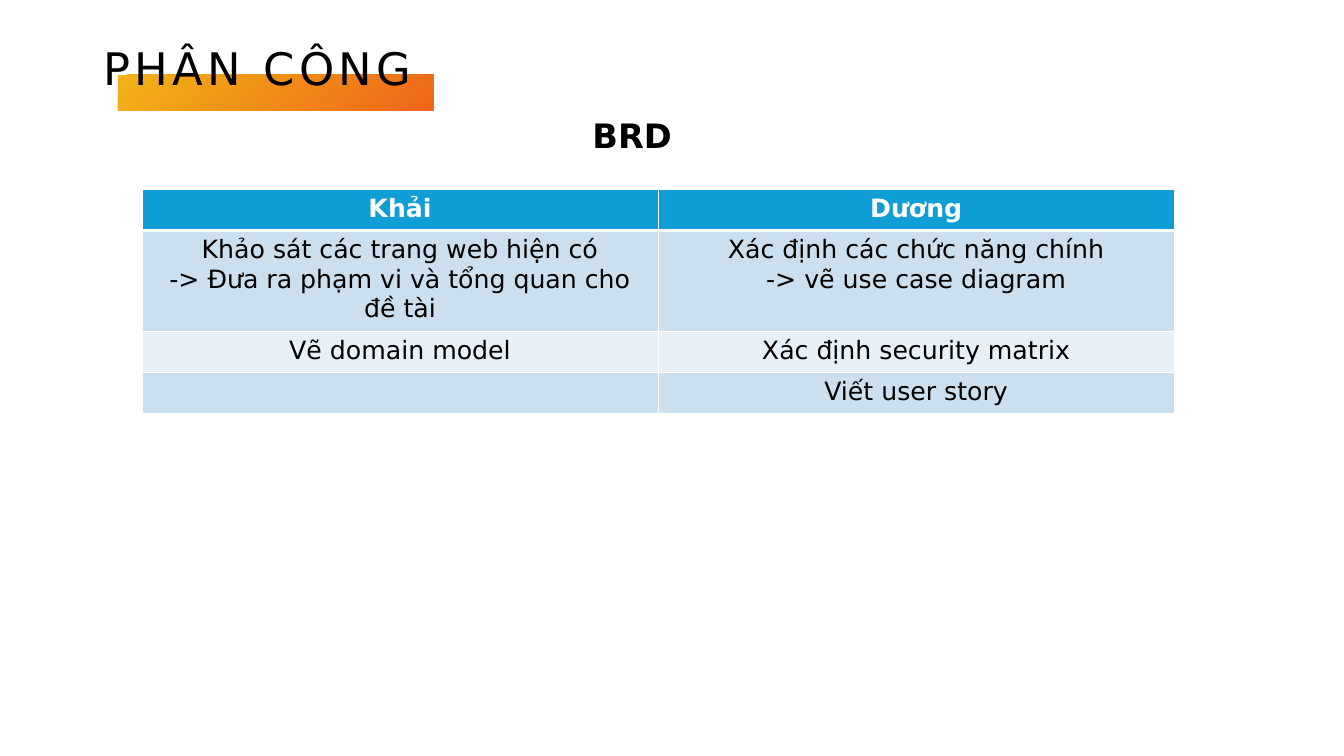
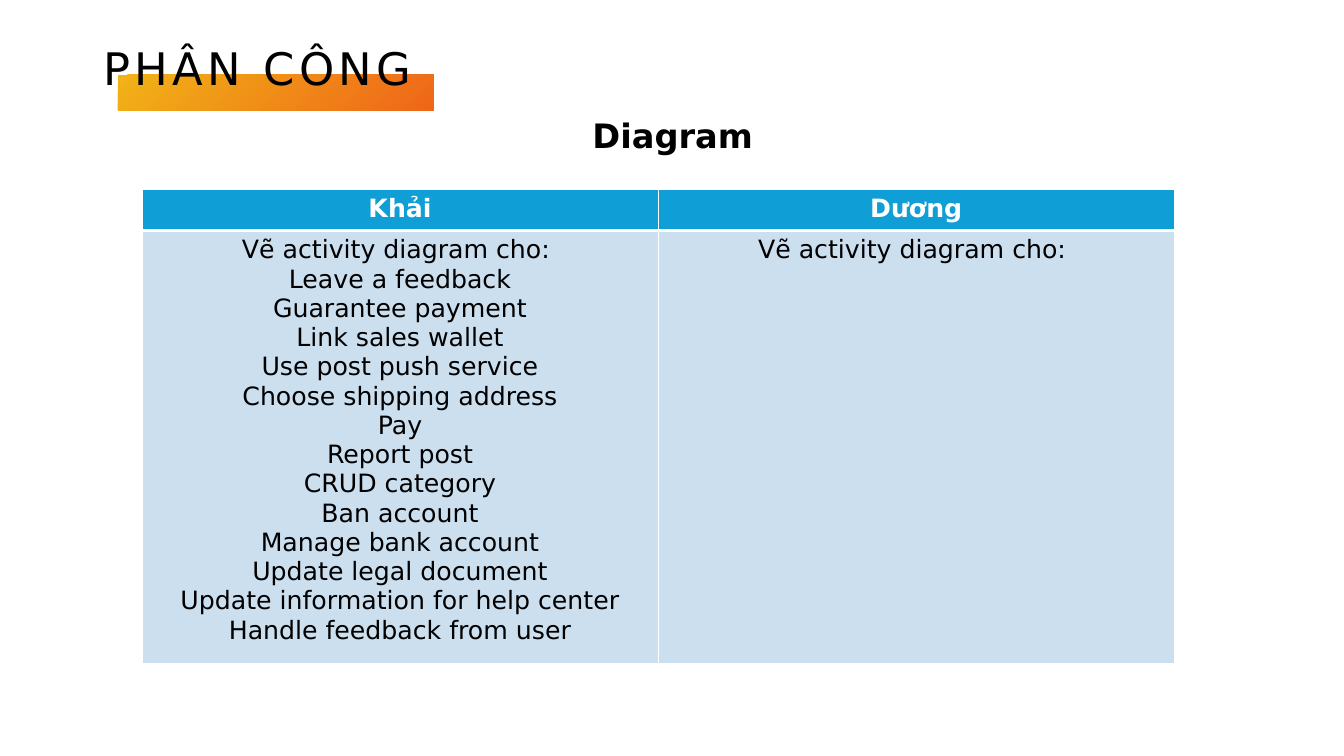
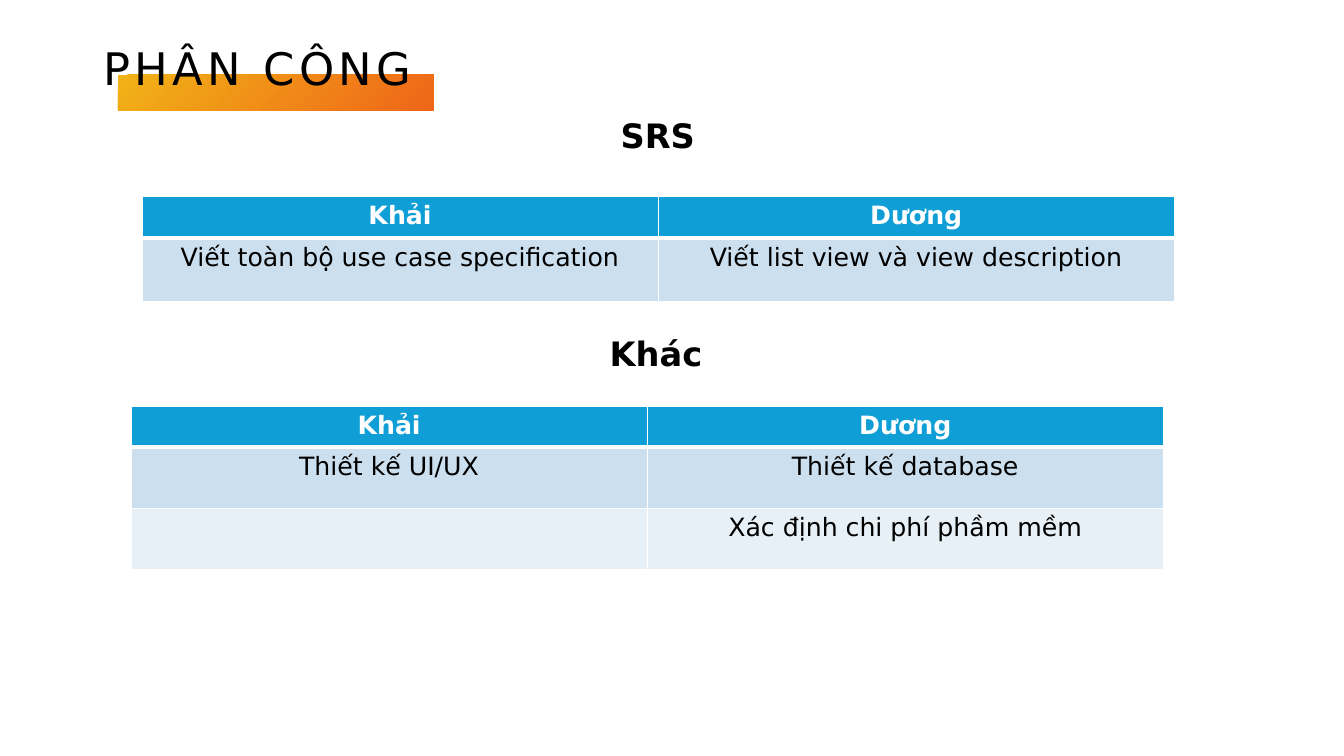
import pptx
import pptx.util
import pptx.dml.color
import pptx.enum.shapes
import pptx.enum.text
import pptx.oxml.ns
import lxml.etree

COLORS = {
    "text": "000000",
    "white": "FFFFFF",
    "header": "0F9ED5",
    "odd": "CCDFEF",
    "even": "E7F0F7",
    "band_start": "F1B317",
    "band_end": "EF6618",
}
FONT = "DejaVu Sans"
SLIDE_WIDTH = pptx.util.Inches(13.33)
SLIDE_HEIGHT = pptx.util.Inches(7.5)
COLUMNS, ROWS = 32, 18
TITLE_BOX = (2.23, 0.86, 8.02, 1.54)
TABLE_COLUMN = 12.29
HEADER_HEIGHT = 0.98
HEADING_HEIGHT = 1.2
MEMBERS = ("Khải", "Dương")


def across(columns):
    """Turn grid columns into a length."""
    return round(SLIDE_WIDTH * columns / COLUMNS)


def down(rows):
    """Turn grid rows into a length."""
    return round(SLIDE_HEIGHT * rows / ROWS)


def place(left, top, width, height):
    """Turn a grid box into slide lengths."""
    return across(left), down(top), across(width), down(height)


def color(name):
    """Look up a palette colour."""
    return pptx.dml.color.RGBColor.from_string(COLORS[name])


def style(para, size, color_name="text", bold=False):
    """Set the font of a paragraph."""
    para.font.name = FONT
    para.font.size = pptx.util.Pt(size)
    para.font.bold = bold
    para.font.color.rgb = color(color_name)


def add_label(page, box, text, size, bold=False):
    """Add one line of text that does not wrap."""
    frame = page.shapes.add_textbox(*place(*box)).text_frame
    frame.word_wrap = False
    frame.auto_size = pptx.enum.text.MSO_AUTO_SIZE.SHAPE_TO_FIT_TEXT
    para = frame.paragraphs[0]
    para.text = text
    style(para, size, bold=bold)
    return para


def add_title(page, box):
    """Add the spaced title over its gradient band."""
    left, top, width, height = box
    band = page.shapes.add_shape(
        pptx.enum.shapes.MSO_SHAPE.RECTANGLE,
        *place(left + 0.58, top + 0.92, width - 0.51, 0.84))
    band.shadow.inherit = False
    band.line.fill.background()
    band.fill.gradient()
    band.fill.gradient_angle = 315
    for stop, name in zip(band.fill.gradient_stops, ("band_start", "band_end")):
        stop.color.rgb = color(name)
    para = add_label(page, (left, top, width, height), "PHÂN CÔNG", 32)
    para.runs[0]._r.get_or_add_rPr().set("spc", "300")


def add_borders(cell, row):
    """Draw white cell borders, thick under the header."""
    points = {"L": 1, "R": 1, "T": 3 if row == 1 else 1, "B": 3 if row == 0 else 1}
    properties = cell._tc.get_or_add_tcPr()
    qn = pptx.oxml.ns.qn
    for side, width in points.items():
        line = lxml.etree.SubElement(
            properties, qn(f"a:ln{side}"), w=str(pptx.util.Pt(width)))
        fill = lxml.etree.SubElement(line, qn("a:solidFill"))
        lxml.etree.SubElement(fill, qn("a:srgbClr"), val=COLORS["white"])


def fill_cell(cell, row, text):
    """Write one table cell in the style of its row."""
    add_borders(cell, row)
    cell.fill.solid()
    cell.fill.fore_color.rgb = color(
        "header" if row == 0 else "odd" if row % 2 else "even")
    cell.text = text
    for para in cell.text_frame.paragraphs:
        para.alignment = pptx.enum.text.PP_ALIGN.CENTER
        style(para, 18, "white" if row == 0 else "text", row == 0)


def add_task_table(page, left, top, tasks, heights):
    """Add the table of tasks for each member."""
    rows = [MEMBERS, *tasks]
    heights = [HEADER_HEIGHT, *heights]
    box = place(left, top, TABLE_COLUMN * len(MEMBERS), sum(heights))
    table = page.shapes.add_table(len(rows), len(MEMBERS), *box).table
    for column in table.columns:
        column.width = across(TABLE_COLUMN)
    for row, (texts, height) in enumerate(zip(rows, heights)):
        table.rows[row].height = down(height)
        for column, text in enumerate(texts):
            fill_cell(table.cell(row, column), row, text)


def add_section(page, heading, left, top, indent, width, gap, tasks, heights):
    """Add a heading and the task table below it."""
    add_label(page, (left + indent, top, width, HEADING_HEIGHT), heading, 24, True)
    add_task_table(page, left, top + gap, tasks, heights)


ACTIVITIES = "\n".join((
    "Vẽ activity diagram cho: ",
    "Leave a feedback",
    "Guarantee payment",
    "Link sales wallet",
    "Use post push service",
    "Choose shipping address",
    "Pay",
    "Report post",
    "CRUD category",
    "Ban account",
    "Manage bank account",
    "Update legal document",
    "Update information for help center",
    "Handle feedback from user",
))

PAGES = [
    [dict(heading="BRD", left=3.38, top=2.62, indent=10.49, width=2.4, gap=1.89,
          heights=(2.38, 0.98, 0.98),
          tasks=[
              ("Khảo sát các trang web hiện có\n"
               "-> Đưa ra phạm vi và tổng quan cho đề tài",
               "Xác định các chức năng chính\n-> vẽ use case diagram"),
              ("Vẽ domain model", "Xác định security matrix"),
              ("", "Viết user story"),
          ])],
    [dict(heading="Diagram", left=3.38, top=2.62, indent=10.49, width=4.32, gap=1.89,
          heights=(10.32,),
          tasks=[(ACTIVITIES, "Vẽ activity diagram cho: ")])],
    [dict(heading="SRS", left=3.38, top=2.62, indent=11.16, width=2.26, gap=2.06,
          heights=(1.52,),
          tasks=[("Viết toàn bộ use case specification",
                  "Viết list view và view description")]),
     dict(heading="Khác", left=3.12, top=7.8, indent=11.16, width=2.69, gap=1.87,
          heights=(1.46, 1.46),
          tasks=[("Thiết kế UI/UX", "Thiết kế database"),
                 ("", "Xác định chi phí phầm mềm")])],
]


def main():
    """Build and save the deck."""
    deck = pptx.Presentation()
    deck.slide_width = SLIDE_WIDTH
    deck.slide_height = SLIDE_HEIGHT
    for sections in PAGES:
        page = deck.slides.add_slide(deck.slide_layouts[6])
        add_title(page, TITLE_BOX)
        for section in sections:
            add_section(page, **section)
    deck.save("out.pptx")


if __name__ == "__main__":
    main()
